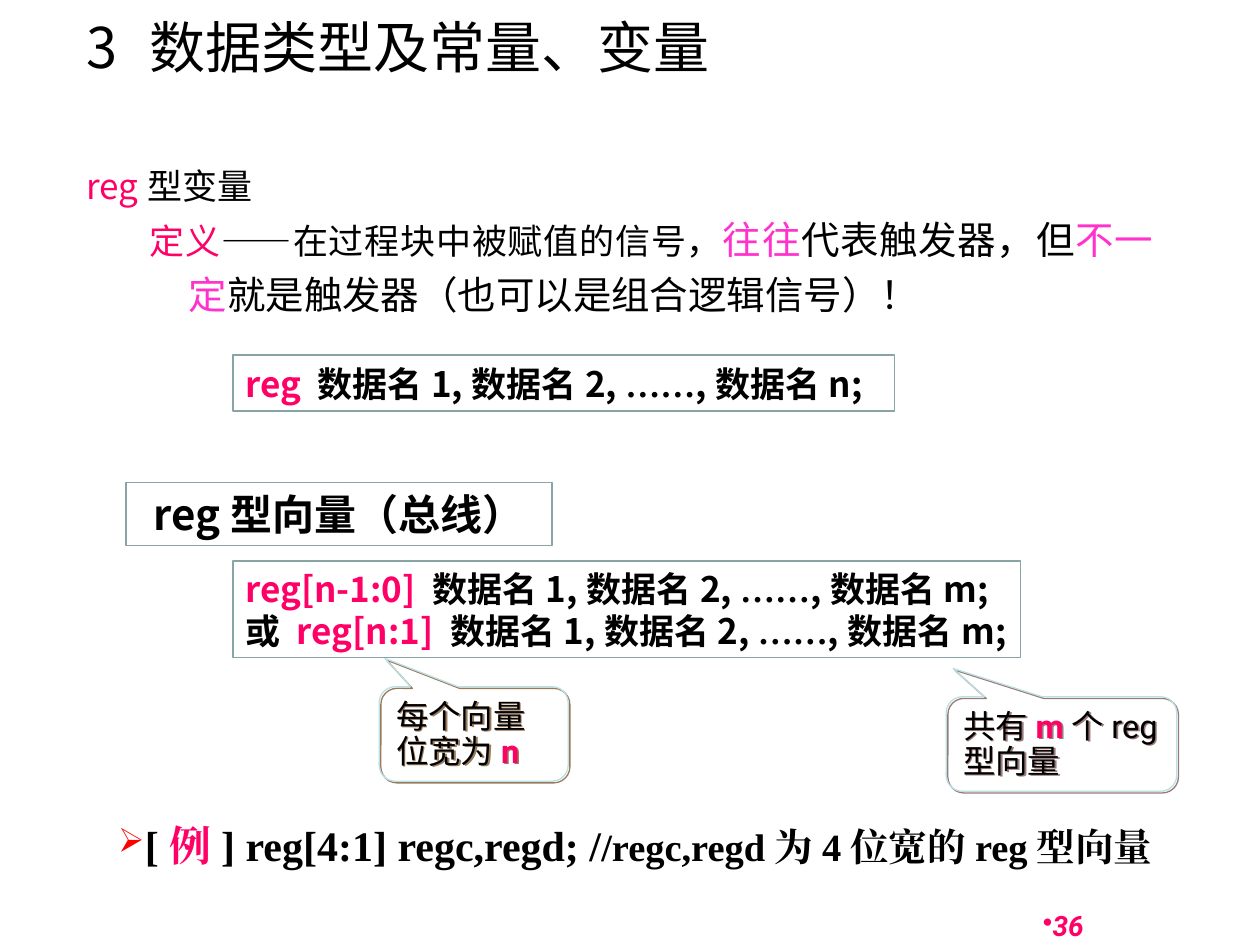
from dataclasses import dataclass, replace

from lxml import etree
from pptx import Presentation, util as u
from pptx.dml.color import RGBColor
from pptx.enum import shapes, text
from pptx.oxml import ns

ALIGN = text.PP_ALIGN
ANCHOR = text.MSO_ANCHOR


@dataclass(frozen=True)
class Theme:
    ink: str = "000000"
    accent: str = "FF0066"
    stress: str = "FF33CC"
    arrow: str = "FF0000"
    frame: str = "89A4A7"
    callout: str = "BBE0E3"
    paper: str = "FFFFFF"
    sans: str = "Noto Sans CJK SC"
    ui: str = "Roboto"
    serif: str = "Times New Roman"
    title: float = 32
    heading: float = 24
    large: float = 22
    body: float = 20
    note: float = 18.5
    small: float = 16


@dataclass(frozen=True)
class Look:
    size: float
    font: str
    color: str = Theme.ink
    bold: bool = False
    italic: bool = False


@dataclass(frozen=True)
class Para:
    spans: tuple
    align: ALIGN = ALIGN.JUSTIFY
    level: int = 0
    spacing: float = 1.0
    margin: float = 0
    indent: float = 0
    bullet: str = ""
    bullet_color: str = Theme.accent
    bullet_share: int = 100
    tab: float = 0


def add_xml(parent, tag, **attributes):
    return etree.SubElement(parent, ns.qn(tag), {k: str(v) for k, v in attributes.items()})


class SlideBuilder:
    """Places elements on a grid of 100 columns by 75 rows."""

    def __init__(self, theme):
        self.theme = theme
        self.deck = Presentation()
        self.deck.slide_width, self.deck.slide_height = u.Inches(10), u.Inches(7.5)
        self.page = self.deck.slides.add_slide(self.deck.slide_layouts[6])
        self.page.background.fill.solid()
        self.page.background.fill.fore_color.rgb = RGBColor.from_string(theme.paper)

    def place(self, left, top, width, height):
        column, row = self.deck.slide_width / 100, self.deck.slide_height / 75
        return [round(n) for n in (left * column, top * row, width * column, height * row)]

    def text_box(self, area, paras, anchor=ANCHOR.BOTTOM):
        box = self.page.shapes.add_textbox(*self.place(*area))
        self.add_paras(box, paras, anchor)

    def outline(self, kind, area, color, width):
        box = self.page.shapes.add_shape(kind, *self.place(*area))
        box.shadow.inherit = False
        box.fill.background()
        box.line.color.rgb = RGBColor.from_string(color)
        box.line.width = u.Pt(width)
        return box

    def frame(self, area, paras, anchor=ANCHOR.BOTTOM):
        box = self.outline(shapes.MSO_SHAPE.RECTANGLE, area, self.theme.frame, 1)
        self.add_paras(box, paras, anchor)

    def callout(self, area, tip, shadow, para):
        box = self.outline(shapes.MSO_SHAPE.ROUNDED_RECTANGULAR_CALLOUT, area,
                           self.theme.callout, 0.75)
        for index, value in enumerate((*tip, 0.17)):
            box.adjustments[index] = value
        effects = box.element.spPr.find(ns.qn("a:effectLst"))
        cast = add_xml(effects, "a:outerShdw", dist=u.Pt(1.4), dir=45 * 60000,
                       algn="ctr", rotWithShape=0)
        add_xml(cast, "a:srgbClr", val=shadow)
        self.add_paras(box, [para], ANCHOR.BOTTOM)

    def add_paras(self, box, paras, anchor):
        frame = box.text_frame
        frame.word_wrap = True
        frame.vertical_anchor = anchor
        for index, para in enumerate(paras):
            line = frame.add_paragraph() if index else frame.paragraphs[0]
            self.set_layout(line, para)
            for words, look in para.spans:
                self.add_span(line, words, look)

    def set_layout(self, line, para):
        line.alignment, line.level = para.align, para.level
        line.line_spacing = para.spacing
        props = line._p.get_or_add_pPr()
        props.set("marL", str(u.Inches(para.margin)))
        props.set("indent", str(u.Inches(para.indent)))
        if para.bullet:
            add_xml(add_xml(props, "a:buClr"), "a:srgbClr", val=para.bullet_color)
            add_xml(props, "a:buSzPct", val=para.bullet_share * 1000)
            add_xml(props, "a:buChar", char=para.bullet)
        if para.tab:
            add_xml(add_xml(props, "a:tabLst"), "a:tab", pos=u.Inches(para.tab), algn="l")

    def add_span(self, line, words, look):
        span = line.add_run()
        span.text = words
        font = span.font
        font.size, font.name = u.Pt(look.size), look.font
        font.bold, font.italic = look.bold, look.italic
        font.color.rgb = RGBColor.from_string(look.color)
        add_xml(span._r.get_or_add_rPr(), "a:ea", typeface=look.font)


def declaration(keyword, last, look, lead=""):
    """One line of Verilog syntax: keyword, then names up to the last one."""
    spans = ((lead, look),) if lead else ()
    return Para(spans + (
        (keyword + " ", replace(look, color=Theme.accent)),
        ("数据名1,数据名2, ", look),
        ("……", replace(look, font=Theme.serif)),
        (f",数据名{last};", look)))


def main():
    theme = Theme()
    slide = SlideBuilder(theme)
    plain = Look(theme.body, theme.sans)
    pink = replace(plain, color=theme.accent)
    large = replace(plain, size=theme.large)
    stress = replace(large, color=theme.stress)
    code = replace(plain, bold=True)
    note = Look(theme.note, theme.ui)
    note_key = replace(note, color=theme.accent, bold=True)
    example = Look(theme.heading, theme.serif, bold=True)

    slide.text_box((63.7, 70.1, 23.3, 5.2), [Para(
        (("36", Look(theme.small, theme.ui, theme.accent, True, True)),),
        align=ALIGN.RIGHT, bullet="•")])
    slide.text_box((5.9, 2.1, 62.2, 4.7), [Para(
        (("3\t数据类型及常量、变量", replace(plain, size=theme.title)),),
        align=ALIGN.LEFT, tab=0.55)])
    slide.text_box((5.9, 11.9, 86.6, 51.6), [
        Para((("reg", pink), ("型变量", plain)), spacing=1.2, margin=0.38, indent=-0.38),
        Para((("定义", pink), ("——在过程块中被赋值的信号，", plain),
              ("往往", stress), ("代表触发器，但", large), ("不一定", stress),
              ("就是触发器（也可以是组合逻辑信号）！", large)),
             level=1, spacing=1.2, margin=0.81, indent=-0.31)], ANCHOR.TOP)

    slide.frame((18.5, 28.2, 52.5, 4.4), [declaration("reg", "n", code)])
    slide.frame((18.5, 44.5, 62.5, 7.7), [
        declaration("reg[n-1:0]", "m", code),
        declaration("reg[n:1]", "m", code, lead="或 ")])
    slide.callout((30.1, 54.5, 15, 7.5), (-0.47, -0.8), "997A5C", Para(
        (("每个向量位宽为", note), ("n", note_key)), align=ALIGN.LEFT, spacing=0.9))
    slide.callout((75.1, 55.3, 18.3, 7.5), (-0.47, -0.8), "997A7A", Para(
        (("共有", note), ("m", note_key), ("个reg型向量", note)),
        align=ALIGN.LEFT, spacing=0.9))
    slide.text_box((0, 64.1, 97.5, 5.4), [Para(
        (("[", example), ("例", replace(example, color=theme.accent)),
         ("] reg[4:1] regc,regd; /", example),
         ("/regc,regd为4位宽的reg型向量", replace(example, size=theme.large))),
        level=1, spacing=1.1, margin=0.52, indent=0.32,
        bullet="➢", bullet_color=theme.arrow, bullet_share=80)])
    slide.frame((10, 38.3, 33.8, 5), [Para(
        (("reg型向量（总线）", replace(code, size=theme.heading)),),
        align=ALIGN.CENTER)], ANCHOR.TOP)

    slide.deck.save("out.pptx")


if __name__ == "__main__":
    main()
